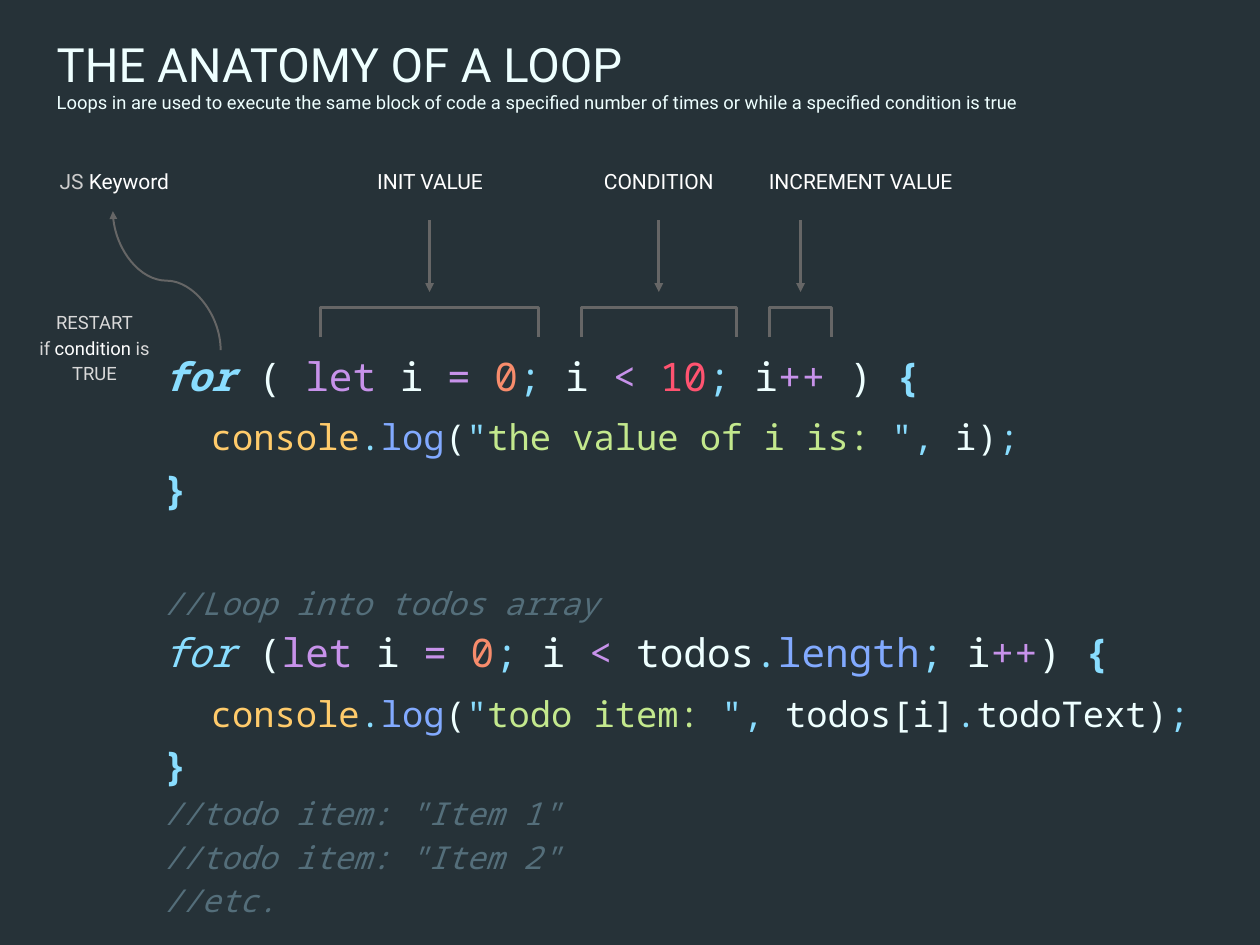
"""Build the slide on the anatomy of a loop."""
import pptx
import pptx.util
import pptx.dml.color
import pptx.enum.shapes
import pptx.enum.text
import pptx.oxml.ns
import lxml.etree

Inches, Pt = pptx.util.Inches, pptx.util.Pt
ALIGN = pptx.enum.text.PP_ALIGN
LINK = pptx.enum.shapes.MSO_CONNECTOR

HUES = {
    "back": "263238", "line": "666666", "white": "FFFFFF",
    "gray": "CCCCCC", "light": "D9D9D9", "plain": "EEFFFF",
    "cyan": "89DDFF", "purple": "C792EA", "orange": "F78C6C",
    "red": "FF5370", "yellow": "FFCB6B", "blue": "82AAFF",
    "green": "C3E88D", "note": "546E7A",
}

TITLE = [
    (36, "THE ANATOMY OF A LOOP"),
    (14, "Loops in are used to execute the same block of code a specified "
         "number of times or while a specified condition is true"),
]

LABELS = [
    (0.49, 1.44, [("JS ", "gray"), ("Keyword", "white")]),
    (3.78, 1.54, [("INIT VALUE", "white")]),
    (6.28, 1.38, [("CONDITION", "white")]),
    (7.85, 2.51, [("INCREMENT VALUE", "white")]),
]

RESTART = [
    [("RESTART", "light")],
    [("if ", "light"), ("condition ", "white"), ("is TRUE", "light")],
]

SPANS = [(3.39, 5.7), (6.15, 7.79), (8.14, 8.8)]

LOG = [("console", "yellow"), (".", "cyan"), ("log", "blue"),
       ("(", "plain"), ('"', "cyan")]
START = [("let", "purple"), (" i ", "plain"), ("= ", "purple"),
         ("0", "orange"), (";", "cyan"), (" i ", "plain")]
END = [("}", "cyan", "b")]

CODE = [
    ("head", [("for", "cyan", "bi"), (" ( ", "plain")] + START + [
        ("< ", "purple"), ("10", "red"), (";", "cyan"), (" i", "plain"),
        ("++ ", "purple"), (") ", "plain"), ("{", "cyan", "b")]),
    ("body", LOG + [("the value of i is: ", "green"), ('",', "cyan"),
                    (" i)", "plain"), (";", "cyan")]),
    ("head", END),
    ("gap", [("//Loop into todos array", "note", "i")]),
    ("head", [("for ", "cyan", "i"), ("(", "plain")] + START + [
        ("<", "purple"), (" todos", "plain"), (".", "cyan"),
        ("length", "blue"), (";", "cyan"), (" i", "plain"),
        ("++", "purple"), (") ", "plain"), ("{", "cyan", "b")]),
    ("body", LOG + [("todo item: ", "green"), ('", ', "cyan"),
                    ("todos[i]", "plain"), (".", "cyan"),
                    ("todoText)", "plain"), (";", "cyan")]),
    ("head", END),
    ("note", [('//todo item: "Item 1"', "note", "i")]),
    ("note", [('//todo item: "Item 2"', "note", "i")]),
    ("note", [("//etc.", "note", "i")]),
]

KINDS = {
    "head": (30, 1.15, 0),
    "body": (27, 1.38, 0),
    "note": (24, 1.15, 0),
    "gap": (24, 1.15, 50),
}


def hue(name):
    return pptx.dml.color.RGBColor.from_string(HUES[name])


def write(para, runs, size, face, space=1.0, align=ALIGN.LEFT):
    para.alignment = align
    para.line_spacing = space
    for text, tint, *style in runs:
        run = para.add_run()
        run.text = text
        font = run.font
        font.name, font.size = face, Pt(size)
        font.color.rgb = hue(tint)
        font.bold = "b" in "".join(style)
        font.italic = "i" in "".join(style)


def setup(shape, left, top, width, height, inset=0.1, middle=True):
    shape.left, shape.top = Inches(left), Inches(top)
    shape.width, shape.height = Inches(width), Inches(height)
    frame = shape.text_frame
    frame.word_wrap = True
    frame.auto_size = pptx.enum.text.MSO_AUTO_SIZE.SHAPE_TO_FIT_TEXT
    frame.margin_left = frame.margin_right = Inches(inset)
    frame.margin_top = frame.margin_bottom = Inches(inset)
    anchor = pptx.enum.text.MSO_ANCHOR
    frame.vertical_anchor = anchor.MIDDLE if middle else anchor.TOP
    return frame


def box(slide, *place, **opts):
    return setup(slide.shapes.add_textbox(0, 0, 0, 0), *place, **opts)


def lines(frame, count):
    return [frame.paragraphs[0]] + [
        frame.add_paragraph() for _ in range(count - 1)]


def arrow(slide, kind, start, end, width):
    link = slide.shapes.add_connector(kind, *map(Inches, start + end))
    link.line.color.rgb = hue("line")
    link.line.width = Pt(width)
    qn = pptx.oxml.ns.qn
    props = link.line._get_or_add_ln()
    lxml.etree.SubElement(props, qn("a:tailEnd"), type="triangle")
    lxml.etree.SubElement(link._element.spPr, qn("a:effectLst"))
    return link


def bracket(slide, left, right, top=3.25, foot=3.57):
    build = slide.shapes.build_freeform(
        Inches(left), Inches(foot), scale=1.0)
    spots = [(left, top), (right, top), (right, foot)]
    build.add_line_segments(
        [(Inches(x), Inches(y)) for x, y in spots], close=False)
    shape = build.convert_to_shape()
    shape.shadow.inherit = False
    shape.fill.background()
    shape.line.color.rgb = hue("line")
    shape.line.width = Pt(2.25)


def main():
    deck = pptx.Presentation()
    deck.slide_width, deck.slide_height = Inches(13.33), Inches(10)
    slide = deck.slides.add_slide(deck.slide_layouts[5])
    slide.background.fill.solid()
    slide.background.fill.fore_color.rgb = hue("back")

    frame = setup(slide.shapes.title, 0.5, 0.28, 12.25, 1.01)
    for para, (size, text) in zip(lines(frame, len(TITLE)), TITLE):
        write(para, [(text, "plain")], size, "Roboto")

    frame = box(slide, 1.73, 3.65, 11.48, 6, inset=0, middle=False)
    for para, (kind, runs) in zip(lines(frame, len(CODE)), CODE):
        size, space, before = KINDS[kind]
        write(para, runs, size, "Noto Sans Mono", space)
        if before:
            para.space_before = Pt(before)
        if kind == "body":
            props = para._p.get_or_add_pPr()
            props.set("marL", "0")
            props.set("indent", str(Inches(0.5)))

    curve = arrow(slide, LINK.CURVE, (2.5, 2.4), (1.03, 3.54), 1.5)
    curve._element.spPr.xfrm.set("rot", "5400000")

    for left, width, runs in LABELS:
        frame = box(slide, left, 1.69, width, 0.46)
        write(frame.paragraphs[0], runs, 16, "Roboto", align=ALIGN.CENTER)

    frame = box(slide, 0.28, 3.2, 1.44, 0.93)
    for para, runs in zip(lines(frame, len(RESTART)), RESTART):
        write(para, runs, 14, "Roboto", 1.15, ALIGN.CENTER)

    for left, right in SPANS:
        bracket(slide, left, right)
        mid = (left + right) / 2
        arrow(slide, LINK.STRAIGHT, (mid, 2.33), (mid, 3.09), 2.25)

    deck.save("out.pptx")


if __name__ == "__main__":
    main()
